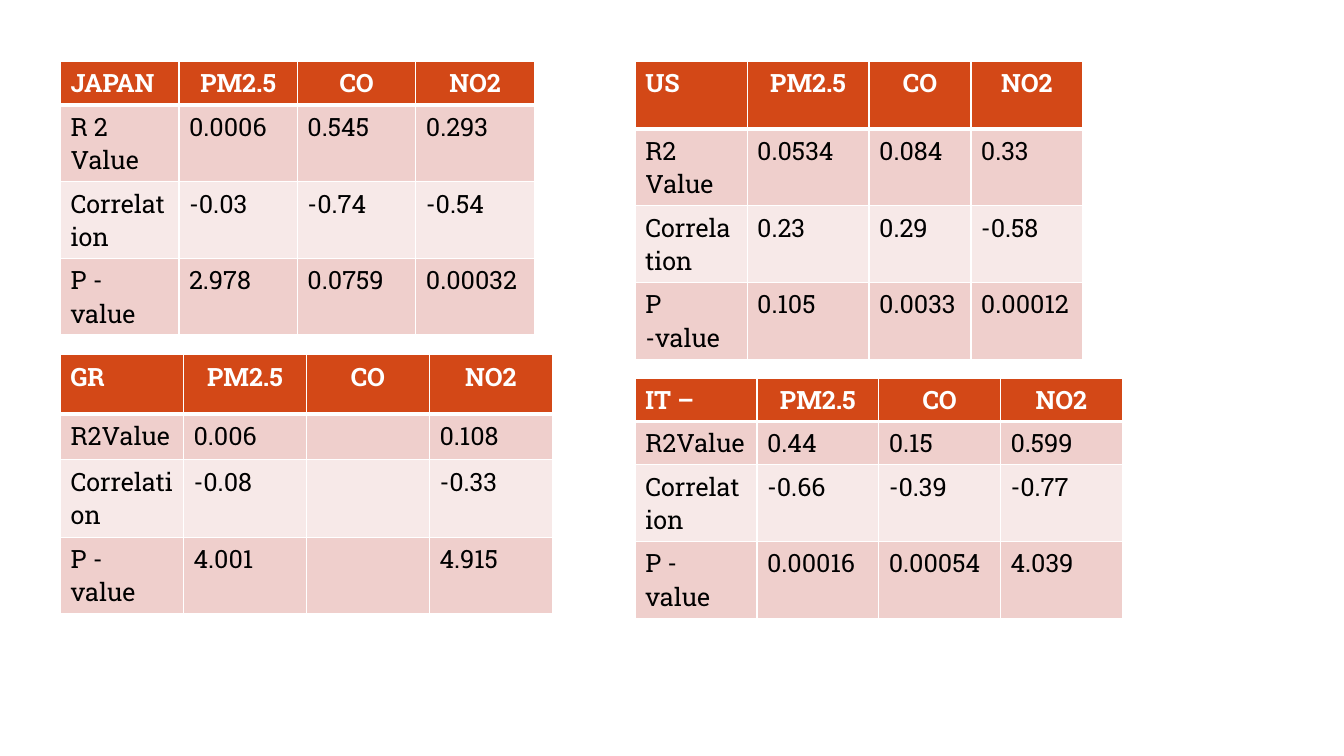
import pptx
import pptx.util
import pptx.dml.color
import pptx.enum.text
import pptx.oxml

Inches = pptx.util.Inches
RGB = pptx.dml.color.RGBColor
WHITE = RGB(0xFF, 0xFF, 0xFF)
BLACK = RGB(0, 0, 0)
RUST = RGB(0xD3, 0x48, 0x17)
ROSE = RGB(0xEF, 0xCF, 0xCC)
BLUSH = RGB(0xF7, 0xE9, 0xE8)
FILLS = [RUST, ROSE, BLUSH, ROSE]
FONT = "Roboto Slab"
GASES = ["PM2.5", "CO", "NO2"]
LEFT, RIGHT, TOP = 0.6, 6.3, 0.61

TABLES = [
    {"at": (RIGHT, TOP), "size": (4.44, 2.77), "cols": [1.11, 1.21, 1.01, 1.11],
     "rows": [0.67, 0.67, 0.47, 0.47],
     "cells": [["US"] + GASES,
               ["R2 Value", "0.0534", "0.084", "0.33"],
               ["Correlation", "0.23", "0.29", "-0.58"],
               ["P -value", "0.105", "0.0033", "0.00012"]]},
    {"at": (LEFT, TOP), "size": (4.7, 2.51), "cols": [4.7 / 4] * 4,
     "rows": [0.41] * 4,
     "cells": [["JAPAN"] + GASES,
               ["R 2 Value", "0.0006", "0.545", "0.293"],
               ["Correlation", "-0.03", "-0.74", "-0.54"],
               ["P - value", "2.978", "0.0759", "0.00032"]]},
    {"at": (LEFT, 3.52), "size": (4.88, 2.26), "cols": [1.22] * 4,
     "rows": [0.59, 0.45, 0.77, 0.45],
     "cells": [["GR"] + GASES,
               ["R2Value", "0.006", "", "0.108"],
               ["Correlation", "-0.08", "", "-0.33"],
               ["P - value", "4.001", "", "4.915"]]},
    {"at": (RIGHT, 3.75), "size": (4.83, 1.91), "cols": [4.83 / 4] * 4,
     "rows": [0.41, 0.18, 0.41, 0.41],
     "cells": [["IT –"] + GASES,
               ["R2Value", "0.44", "0.15", "0.599"],
               ["Correlation", "-0.66", "-0.39", "-0.77"],
               ["P - value", "0.00016", "0.00054", "4.039"]]},
]

SPACE = "http://schemas.openxmlformats.org/drawingml/2006/main"


def edge(cell, side, width):
    cell._tc.get_or_add_tcPr().append(pptx.oxml.parse_xml(
        f'<a:ln{side} xmlns:a="{SPACE}" w="{pptx.util.Pt(width)}"><a:solidFill>'
        f'<a:srgbClr val="{WHITE}"/></a:solidFill></a:ln{side}>'))


def style(cell, text, row, col):
    head = row == 0
    for side in "LRTB":
        thick = (head and side == "B") or (row == 1 and side == "T")
        edge(cell, side, 3 if thick else 1)
    cell.fill.solid()
    cell.fill.fore_color.rgb = FILLS[row]
    cell.text_frame.text = text
    para = cell.text_frame.paragraphs[0]
    if head and col:
        para.alignment = pptx.enum.text.PP_ALIGN.CENTER
    for run in para.runs:
        run.font.name = FONT
        run.font.size = pptx.util.Pt(18)
        run.font.bold = head
        run.font.color.rgb = WHITE if head else BLACK


def draw(slide, data):
    rows, cols = data["rows"], data["cols"]
    place = [Inches(n) for n in data["at"] + data["size"]]
    frame = slide.shapes.add_table(len(rows), len(cols), *place)
    grid = frame.table
    for col, width in zip(grid.columns, cols):
        col.width = Inches(width)
    for row, height in zip(grid.rows, rows):
        row.height = Inches(height)
    frame.height = place[3]
    for r, line in enumerate(data["cells"]):
        for c, text in enumerate(line):
            style(grid.cell(r, c), text, r, c)


def main():
    deck = pptx.Presentation()
    deck.slide_width, deck.slide_height = Inches(13.33), Inches(7.5)
    slide = deck.slides.add_slide(deck.slide_layouts[6])
    for data in TABLES:
        draw(slide, data)
    deck.save("out.pptx")


if __name__ == "__main__":
    main()
